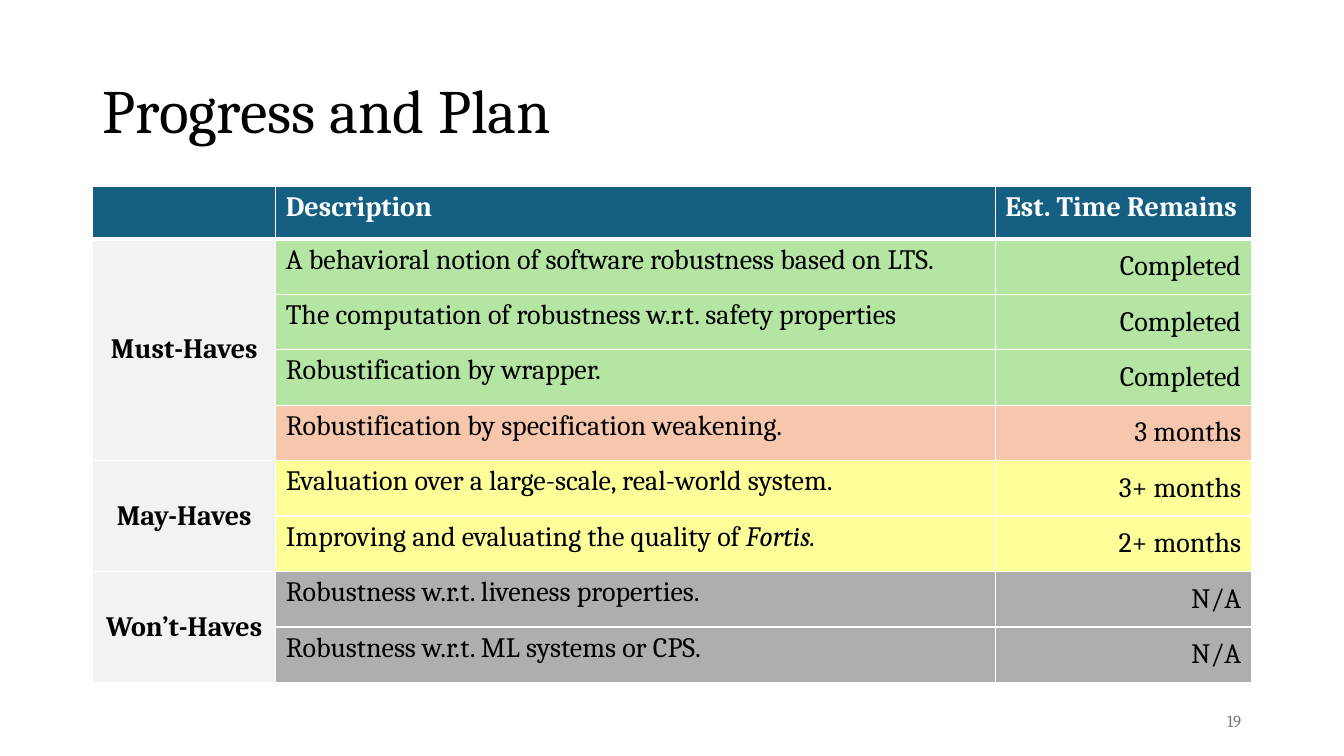
from lxml import etree
from pptx import Presentation
from pptx.dml.color import RGBColor
from pptx.enum.text import MSO_ANCHOR as Anchor, PP_ALIGN as Align
from pptx.oxml.ns import qn
from pptx.util import Inches, Pt

FONT = "Cambria"
COLORS = {
    "text": "000000",
    "white": "FFFFFF",
    "header": "156082",
    "group": "F2F2F2",
    "completed": "B4E5A2",
    "ongoing": "F6C6AD",
    "optional": "FFFF99",
    "excluded": "AEAEAE",
    "number": "797979",
}
WIDTH, HEIGHT = 13.33, 7.5
MARGIN = 0.92
CONTENT_WIDTH = WIDTH - 2 * MARGIN
COLUMN_SHARES = (0.158, 0.621, 0.221)
HEADER_HEIGHT, ROW_HEIGHT = 0.52, 0.55

HEADINGS = ("", "Description", "Est. Time Remains")
# Each group holds rows of (description runs, time remaining, status colour).
GROUPS = {
    "Must-Haves": [
        (["A behavioral notion of software robustness based on LTS."], "Completed", "completed"),
        (["The computation of robustness w.r.t. safety properties"], "Completed", "completed"),
        (["Robustification by wrapper."], "Completed", "completed"),
        (["Robustification by specification weakening."], "3 months", "ongoing"),
    ],
    "May-Haves": [
        (["Evaluation over a large-scale, real-world system."], "3+ months", "optional"),
        (["Improving and evaluating the quality of ", ("Fortis.", True)], "2+ months", "optional"),
    ],
    "Won’t-Haves": [
        (["Robustness w.r.t. liveness properties."], "N/A", "excluded"),
        (["Robustness w.r.t. ML systems or CPS."], "N/A", "excluded"),
    ],
}


def rgb(name):
    return RGBColor.from_string(COLORS[name])


def write(frame, *runs, size=20, color="text", bold=False, align=Align.LEFT, spacing=None):
    """Fill the first paragraph; a run is a string or a (text, italic) pair."""
    paragraph = frame.paragraphs[0]
    paragraph.alignment = align
    if spacing:
        paragraph.line_spacing = spacing
    for item in runs:
        text, italic = (item, False) if isinstance(item, str) else item
        run = paragraph.add_run()
        run.text = text
        font = run.font
        font.name, font.size, font.bold, font.italic = FONT, Pt(size), bold, italic
        font.color.rgb = rgb(color)


def add_text(slide, box, text, **text_format):
    shape = slide.shapes.add_textbox(*map(Inches, box))
    frame = shape.text_frame
    frame.word_wrap = True
    frame.vertical_anchor = Anchor.MIDDLE
    write(frame, text, **text_format)


def style_cell(cell, fill, top=1, bottom=1):
    """Give the cell a solid fill and white borders, widths in points."""
    properties = cell._tc.get_or_add_tcPr()
    for side, width in (("L", 1), ("R", 1), ("T", top), ("B", bottom)):
        line = etree.SubElement(properties, qn(f"a:ln{side}"), w=str(Pt(width)))
        solid = etree.SubElement(line, qn("a:solidFill"))
        etree.SubElement(solid, qn("a:srgbClr"), val=COLORS["white"])
    cell.fill.solid()
    cell.fill.fore_color.rgb = rgb(fill)


def add_plan_table(slide, left, top, width):
    row_count = 1 + sum(map(len, GROUPS.values()))
    height = HEADER_HEIGHT + (row_count - 1) * ROW_HEIGHT
    box = map(Inches, (left, top, width, height))
    table = slide.shapes.add_table(row_count, len(HEADINGS), *box).table
    table.horz_banding = False
    for column, share in zip(table.columns, COLUMN_SHARES):
        column.width = Inches(width * share)
    for index, row in enumerate(table.rows):
        row.height = Inches(ROW_HEIGHT if index else HEADER_HEIGHT)

    for column, heading in enumerate(HEADINGS):
        cell = table.cell(0, column)
        style_cell(cell, "header", bottom=3)
        if heading:
            write(cell.text_frame, heading, color="white", bold=True)

    row = 1
    for group, items in GROUPS.items():
        group_cell = table.cell(row, 0)
        group_cell.merge(table.cell(row + len(items) - 1, 0))
        group_cell.vertical_anchor = Anchor.MIDDLE
        write(group_cell.text_frame, group, bold=True, align=Align.CENTER)
        for description, time, status in items:
            cells = [table.cell(row, column) for column in range(len(HEADINGS))]
            for cell, fill in zip(cells, ("group", status, status)):
                style_cell(cell, fill, top=3 if row == 1 else 1)
            write(cells[1].text_frame, *description)
            cells[2].vertical_anchor = Anchor.MIDDLE
            write(cells[2].text_frame, time, align=Align.RIGHT)
            row += 1


def main():
    presentation = Presentation()
    presentation.slide_width, presentation.slide_height = Inches(WIDTH), Inches(HEIGHT)
    slide = presentation.slides.add_slide(presentation.slide_layouts[6])
    add_text(slide, (MARGIN, 0.4, CONTENT_WIDTH, 1.45), "Progress and Plan", size=44, spacing=0.9)
    add_plan_table(slide, MARGIN, 1.85, CONTENT_WIDTH)
    number_width = 3
    add_text(slide, (WIDTH - MARGIN - number_width, 6.95, number_width, 0.4), "19",
             size=12, color="number", align=Align.RIGHT)
    presentation.save("out.pptx")


if __name__ == "__main__":
    main()
